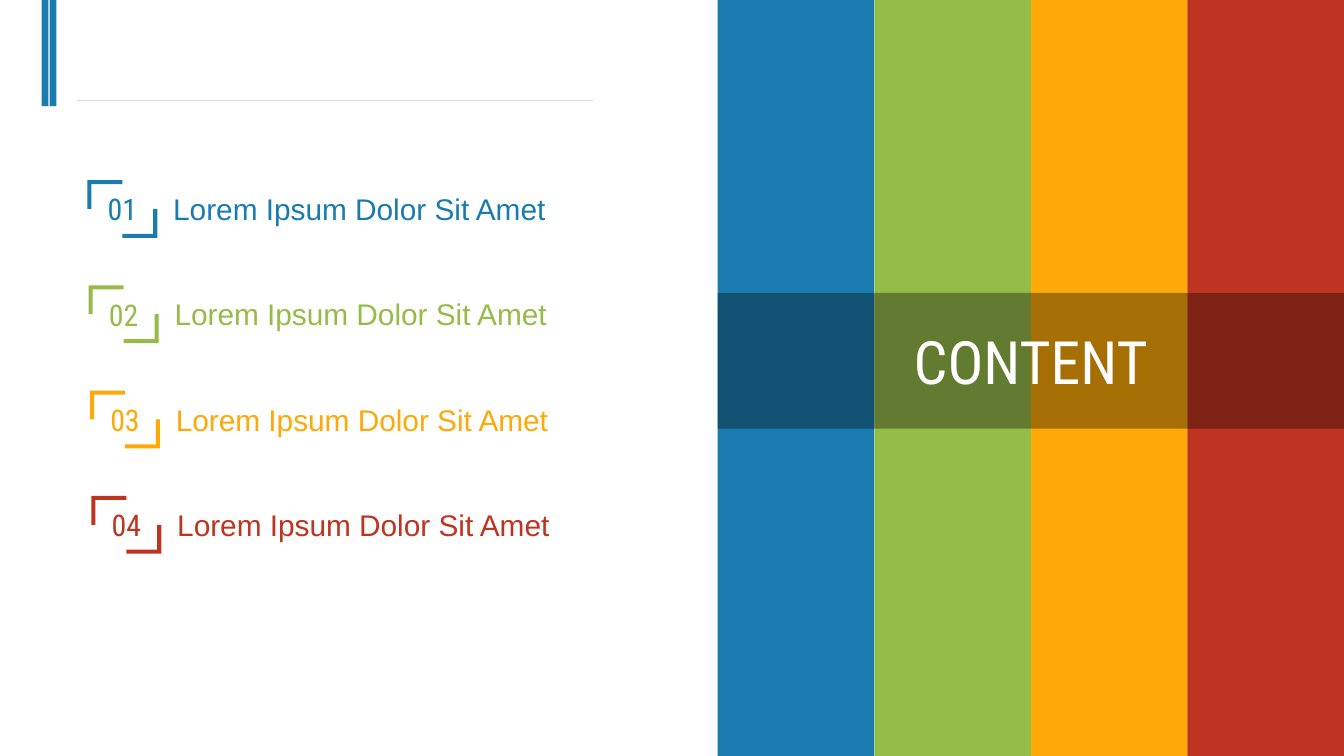
from dataclasses import dataclass

from lxml.etree import SubElement
from pptx import Presentation
from pptx.dml.color import RGBColor as Color
from pptx.enum.shapes import MSO_CONNECTOR as Connector, MSO_SHAPE as Shape
from pptx.enum.text import MSO_ANCHOR as Anchor, MSO_AUTO_SIZE as AutoSize, PP_ALIGN as Align
from pptx.oxml.ns import qn
from pptx.util import Inches, Pt


@dataclass(frozen=True)
class Theme:
    accents: tuple = ("1A7BAE", "95BC49", "FDA907", "BF3420")
    rule: str = "D9D9D9"
    band: str = "000000"
    title: str = "FFFFFF"
    body_font: str = "Arial"
    display_font: str = "Roboto Condensed"
    item_size: int = 16
    title_size: int = 32


THEME = Theme()
WIDTH = 10
HEIGHT = WIDTH * 9 / 16
ITEMS = ["Lorem Ipsum Dolor Sit Amet"] * 4


def set_values(target, values):
    for name, value in values.items():
        setattr(target, name, value)


def fill_shape(shape, color):
    shape.shadow.inherit = False
    shape.fill.solid()
    shape.fill.fore_color.rgb = Color.from_string(color)
    shape.line.fill.background()


def add_bar(slide, left, top, width, height, color):
    bar = slide.shapes.add_shape(
        Shape.RECTANGLE, Inches(left), Inches(top), Inches(width), Inches(height))
    fill_shape(bar, color)
    return bar


def write_text(shape, text, font, size, color, align=Align.LEFT, **frame_values):
    set_values(shape.text_frame, {"word_wrap": True, **frame_values})
    paragraph = shape.text_frame.paragraphs[0]
    paragraph.alignment = align
    run = paragraph.add_run()
    run.text = text
    set_values(run.font, {"name": font, "size": Pt(size)})
    run.font.color.rgb = Color.from_string(color)


# Header: twin bars and a thin rule
def add_header(slide, left, top, height):
    for offset in (0, 0.06):
        add_bar(slide, left + offset, top, 0.05, height, THEME.accents[0])
    rule_y = Inches(top + height - 0.04)
    rule = slide.shapes.add_connector(
        Connector.STRAIGHT, Inches(left + 0.26), rule_y, Inches(left + 4.1), rule_y)
    rule.line.color.rgb = Color.from_string(THEME.rule)
    rule.line.width = Pt(0.75)
    SubElement(rule.element.spPr, qn("a:effectLst"))


# Number framed by two opposite corner brackets
def add_number_frame(slide, left, top, width, height, number, color):
    arm_x, arm_y, thick = width / 2, height / 2, 0.03
    corner = [(0, 0), (arm_x, 0), (arm_x, thick), (thick, thick), (thick, arm_y), (0, arm_y)]
    opposite = [(width - x, height - y) for x, y in corner]
    outlines = [[(Inches(left + x), Inches(top + y)) for x, y in points]
                for points in (corner, opposite)]
    builder = slide.shapes.build_freeform(*outlines[0][0])
    builder.add_line_segments(outlines[0][1:], close=True)
    builder.move_to(*outlines[1][0])
    builder.add_line_segments(outlines[1][1:], close=True)
    frame = builder.convert_to_shape()
    fill_shape(frame, color)
    write_text(frame, f"{number:02}", THEME.display_font, THEME.item_size, color,
               Align.CENTER, vertical_anchor=Anchor.MIDDLE)


# Numbered list: each row steps down and slightly to the right
def add_agenda(slide, left, top, height, items):
    frame_width, frame_height = 0.52, 0.43
    pitch = (height - frame_height) / (len(items) - 1)
    for index, (item, color) in enumerate(zip(items, THEME.accents)):
        x, y = left + 0.01 * index, top + pitch * index
        label = slide.shapes.add_textbox(
            Inches(x + 0.54), Inches(y + 0.03), Inches(3.98), Inches(0.37))
        write_text(label, item, THEME.body_font, THEME.item_size, color,
                   auto_size=AutoSize.SHAPE_TO_FIT_TEXT)
        add_number_frame(slide, x, y, frame_width, frame_height, index + 1, color)


# Title panel: colour stripes crossed by a translucent band
def add_title_panel(slide, left, top, width, height, title):
    stripe = width / len(THEME.accents)
    for index, color in enumerate(THEME.accents):
        add_bar(slide, left + stripe * index, top, stripe, height, color)
    band = add_bar(slide, left, top + 2.18, width, 1.01, THEME.band)
    band_color = band.element.spPr.find(qn("a:solidFill"))[0]
    SubElement(band_color, qn("a:alpha"), val="34000")
    write_text(band, title, THEME.display_font, THEME.title_size, THEME.title,
               Align.CENTER, vertical_anchor=Anchor.MIDDLE)


def build_content_slide(presentation):
    slide = presentation.slides.add_slide(presentation.slide_layouts[6])
    add_header(slide, 0.31, 0, 0.79)
    add_agenda(slide, 0.65, 1.34, 2.78, ITEMS)
    add_title_panel(slide, 5.34, 0, WIDTH - 5.34, HEIGHT, "CONTENT")


presentation = Presentation()
set_values(presentation, {"slide_width": Inches(WIDTH), "slide_height": Inches(HEIGHT)})
build_content_slide(presentation)
presentation.save("out.pptx")
